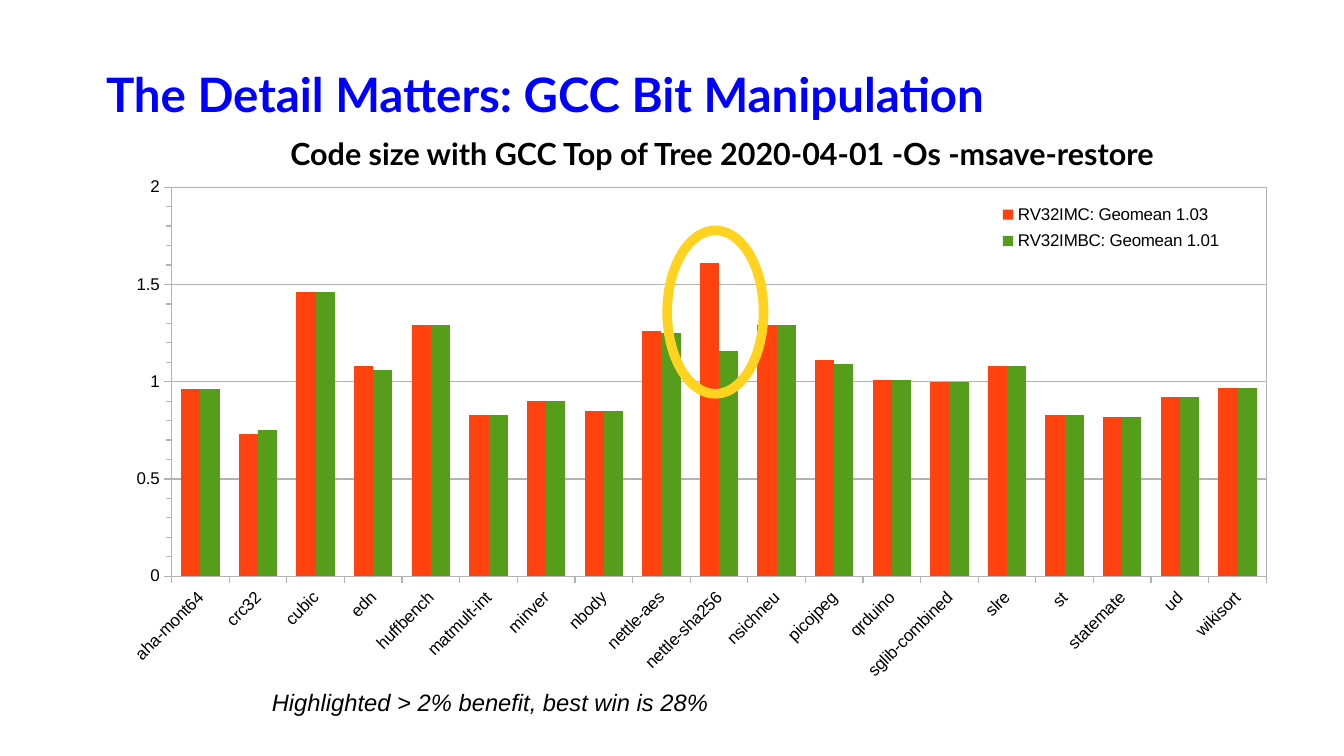
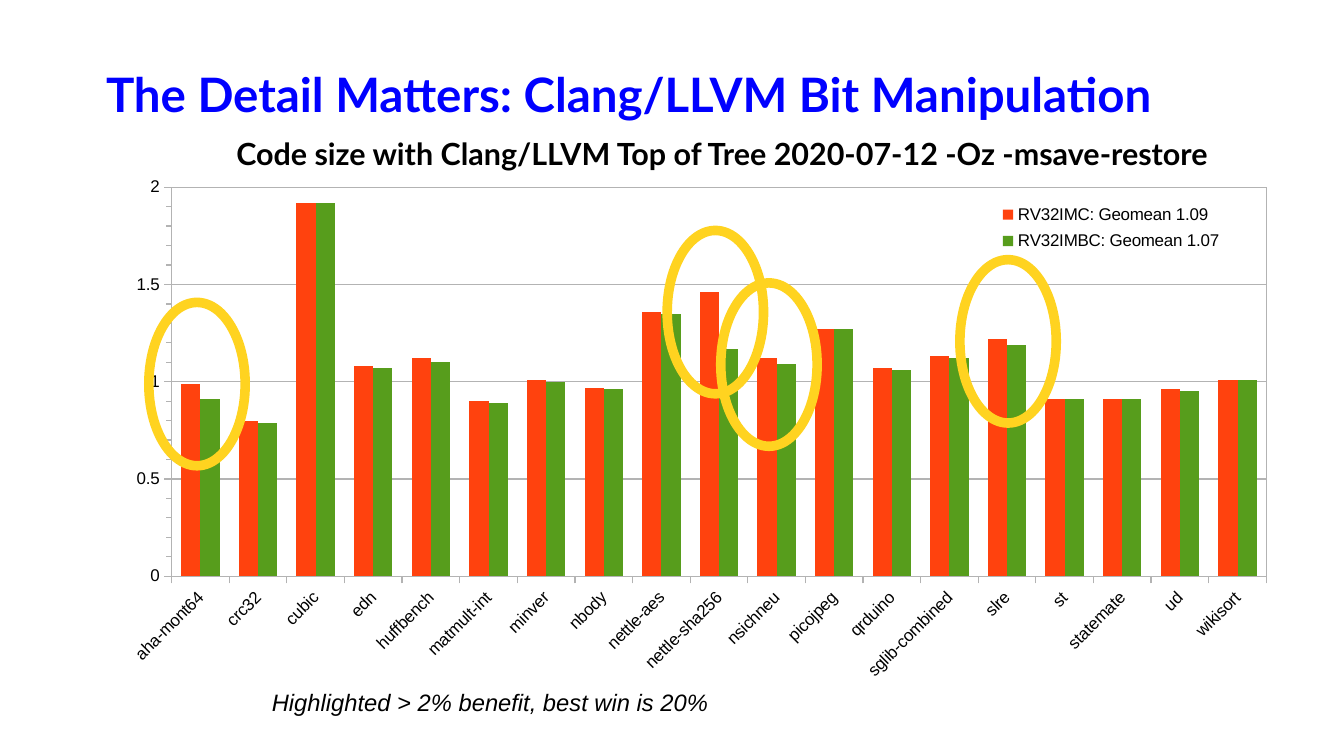
from dataclasses import dataclass

from lxml import etree
from pptx import Presentation
from pptx import util as u
from pptx.chart.data import CategoryChartData
from pptx.dml.color import RGBColor
from pptx.enum import chart as ch
from pptx.enum import shapes, text
from pptx.oxml import parse_xml
from pptx.oxml.ns import nsdecls, qn


@dataclass(frozen=True)
class Font:
    name: str
    size: float
    color: str
    bold: bool = False
    italic: bool = False


@dataclass(frozen=True)
class Theme:
    background: str = "FFFFFF"
    grid: str = "B3B3B3"
    ring: str = "FFD320"
    ring_width: float = 5.67
    bars: tuple[str, ...] = ("FF420E", "579D1C")
    title: Font = Font("Lato", 28, "0000FF", bold=True)
    caption: Font = Font("Lato", 18, "000000", bold=True)
    note: Font = Font("Arial", 14, "000000", italic=True)
    chart: Font = Font("Arial", 10, "000000")


@dataclass(frozen=True)
class Box:
    """Left, top, width and height in percent of the slide."""

    x: float
    y: float
    w: float
    h: float

    def emu(self) -> tuple[int, ...]:
        shares = ((self.x, WIDTH), (self.y, HEIGHT), (self.w, WIDTH), (self.h, HEIGHT))
        return tuple(int(share * side / 100) for share, side in shares)


@dataclass(frozen=True)
class Series:
    name: str
    values: tuple[float, ...]


@dataclass(frozen=True)
class Benchmark:
    title: str
    caption: str
    note: str
    series: tuple[Series, ...]
    rings: tuple[tuple[float, float], ...]


THEME = Theme()
WIDTH, HEIGHT = u.Inches(11.02), u.Inches(6.2)
TITLE = Box(7.89, 4.03, 87.21, 16.77)
CHART = Box(7.89, 23.39, 87.21, 69.35)
CAPTION = Box(13.16, 17.1, 81.13, 7.58)
NOTE = Box(19.33, 90.16, 40.56, 5.16)
RING_SIZE = (7.17, 21.61)
PLOT = Box(5.6, 2, 93.4, 74.2)
LEGEND = Box(75.5, 4, 20.5, 11.5)

PROGRAMS = (
    "aha-mont64", "crc32", "cubic", "edn", "huffbench", "matmult-int", "minver",
    "nbody", "nettle-aes", "nettle-sha256", "nsichneu", "picojpeg", "qrduino",
    "sglib-combined", "slre", "st", "statemate", "ud", "wikisort",
)

BENCHMARKS = (
    Benchmark(
        "The Detail Matters: GCC Bit Manipulation",
        "Code size with GCC Top of Tree 2020-04-01 -Os -msave-restore",
        "Highlighted > 2% benefit, best win is 28%",
        (
            Series("RV32IMC: Geomean 1.03", (
                0.96, 0.73, 1.46, 1.08, 1.29, 0.83, 0.9, 0.85, 1.26, 1.61,
                1.29, 1.11, 1.01, 1, 1.08, 0.83, 0.82, 0.92, 0.97)),
            Series("RV32IMBC: Geomean 1.01", (
                0.96, 0.75, 1.46, 1.06, 1.29, 0.83, 0.9, 0.85, 1.25, 1.16,
                1.29, 1.09, 1.01, 1, 1.08, 0.83, 0.82, 0.92, 0.97)),
        ),
        ((49.64, 30.48),),
    ),
    Benchmark(
        "The Detail Matters: Clang/LLVM Bit Manipulation",
        "Code size with Clang/LLVM Top of Tree 2020-07-12 -Oz -msave-restore",
        "Highlighted > 2% benefit, best win is 20%",
        (
            Series("RV32IMC: Geomean 1.09", (
                0.99, 0.8, 1.92, 1.08, 1.12, 0.9, 1.01, 0.97, 1.36, 1.46,
                1.12, 1.27, 1.07, 1.13, 1.22, 0.91, 0.91, 0.96, 1.01)),
            Series("RV32IMBC: Geomean 1.07", (
                0.91, 0.79, 1.92, 1.07, 1.1, 0.89, 1, 0.96, 1.35, 1.17,
                1.09, 1.27, 1.06, 1.12, 1.19, 0.91, 0.91, 0.95, 1.01)),
        ),
        ((49.64, 30.48), (11.07, 40), (53.63, 37.42), (71.42, 34.35)),
    ),
)


def rgb(value: str) -> RGBColor:
    return RGBColor.from_string(value)


def apply_font(target, font: Font) -> None:
    target.name, target.size = font.name, u.Pt(font.size)
    target.bold, target.italic = font.bold, font.italic
    target.color.rgb = rgb(font.color)


def fill_text(tf, content: str, font: Font, align) -> None:
    tf.text = content
    tf.word_wrap = True
    p = tf.paragraphs[0]
    p.alignment = align
    apply_font(p.runs[0].font, font)


def add_title(s, content: str) -> None:
    sp = s.shapes.title
    sp.left, sp.top, sp.width, sp.height = TITLE.emu()
    tf = sp.text_frame
    tf.margin_left = tf.margin_top = tf.margin_right = tf.margin_bottom = 0
    tf.vertical_anchor = text.MSO_ANCHOR.MIDDLE
    tf.auto_size = text.MSO_AUTO_SIZE.NONE
    fill_text(tf, content, THEME.title, text.PP_ALIGN.LEFT)


def add_label(s, box: Box, content: str, font: Font, align) -> None:
    tf = s.shapes.add_textbox(*box.emu()).text_frame
    tf.auto_size = text.MSO_AUTO_SIZE.SHAPE_TO_FIT_TEXT
    fill_text(tf, content, font, align)


def add_ring(s, x: float, y: float) -> None:
    sp = s.shapes.add_shape(shapes.MSO_SHAPE.OVAL, *Box(x, y, *RING_SIZE).emu())
    sp.shadow.inherit = False
    sp.fill.background()
    sp.line.color.rgb = rgb(THEME.ring)
    sp.line.width = u.Pt(THEME.ring_width)


def manual_layout(box: Box, inner: bool = False):
    layout = parse_xml(f"<c:layout {nsdecls('c')}><c:manualLayout/></c:layout>")
    settings = [("layoutTarget", "inner")] if inner else []
    settings += [("xMode", "edge"), ("yMode", "edge")]
    settings += [(key, f"{getattr(box, key) / 100:g}") for key in "xywh"]
    for tag, value in settings:
        etree.SubElement(layout[0], qn(f"c:{tag}")).set("val", value)
    return layout


def drop_layout(parent) -> None:
    for old in parent.findall(qn("c:layout")):
        parent.remove(old)


def place_plot(chart) -> None:
    area = chart._chartSpace.find(f"{qn('c:chart')}/{qn('c:plotArea')}")
    drop_layout(area)
    area.insert(0, manual_layout(PLOT, inner=True))
    area.append(parse_xml(
        f"<c:spPr {nsdecls('c', 'a')}><a:noFill/><a:ln w='0'><a:solidFill>"
        f"<a:srgbClr val='{THEME.grid}'/></a:solidFill></a:ln></c:spPr>"))


def add_legend(chart) -> None:
    chart.has_legend = True
    legend = chart.legend
    legend.position = ch.XL_LEGEND_POSITION.RIGHT
    legend.include_in_layout = False
    apply_font(legend.font, THEME.chart)
    element = legend._element
    drop_layout(element)
    element.find(qn("c:legendPos")).addnext(manual_layout(LEGEND))


def thin_line(line) -> None:
    line.color.rgb = rgb(THEME.grid)
    line.width = u.Pt(0)


def format_axes(chart) -> None:
    cat, val = chart.category_axis, chart.value_axis
    for axis in (cat, val):
        axis.major_tick_mark = ch.XL_TICK_MARK.OUTSIDE
        thin_line(axis.format.line)
        apply_font(axis.tick_labels.font, THEME.chart)
    cat.minor_tick_mark = ch.XL_TICK_MARK.NONE
    cat.has_major_gridlines = False
    labels = cat._element.find(f"{qn('c:txPr')}/{qn('a:bodyPr')}")
    labels.set("rot", str(-45 * 60000))
    val.minor_tick_mark = ch.XL_TICK_MARK.OUTSIDE
    val.minimum_scale, val.maximum_scale = 0, 2
    val.major_unit, val.minor_unit = 0.5, 0.1
    val.has_major_gridlines = True
    thin_line(val.major_gridlines.format.line)


def add_bars(s, series: tuple[Series, ...]) -> None:
    data = CategoryChartData()
    data.categories = PROGRAMS
    for item in series:
        data.add_series(item.name, item.values)
    chart = s.shapes.add_chart(
        ch.XL_CHART_TYPE.COLUMN_CLUSTERED, *CHART.emu(), data).chart
    chart.has_title = False
    apply_font(chart.font, THEME.chart)
    plot = chart.plots[0]
    plot.gap_width, plot.overlap, plot.vary_by_categories = 100, 0, False
    for bars, color in zip(plot.series, THEME.bars):
        bars.format.fill.solid()
        bars.format.fill.fore_color.rgb = rgb(color)
        bars.format.line.fill.background()
    format_axes(chart)
    place_plot(chart)
    add_legend(chart)


def add_benchmark(prs, item: Benchmark) -> None:
    s = prs.slides.add_slide(prs.slide_layouts.get_by_name("Title Only"))
    add_title(s, item.title)
    add_bars(s, item.series)
    add_label(s, CAPTION, item.caption, THEME.caption, text.PP_ALIGN.CENTER)
    for ring in item.rings:
        add_ring(s, *ring)
    add_label(s, NOTE, item.note, THEME.note, text.PP_ALIGN.LEFT)


def main() -> None:
    prs = Presentation()
    prs.slide_width, prs.slide_height = WIDTH, HEIGHT
    fill = prs.slide_master.background.fill
    fill.solid()
    fill.fore_color.rgb = rgb(THEME.background)
    for item in BENCHMARKS:
        add_benchmark(prs, item)
    prs.save("out.pptx")


if __name__ == "__main__":
    main()
